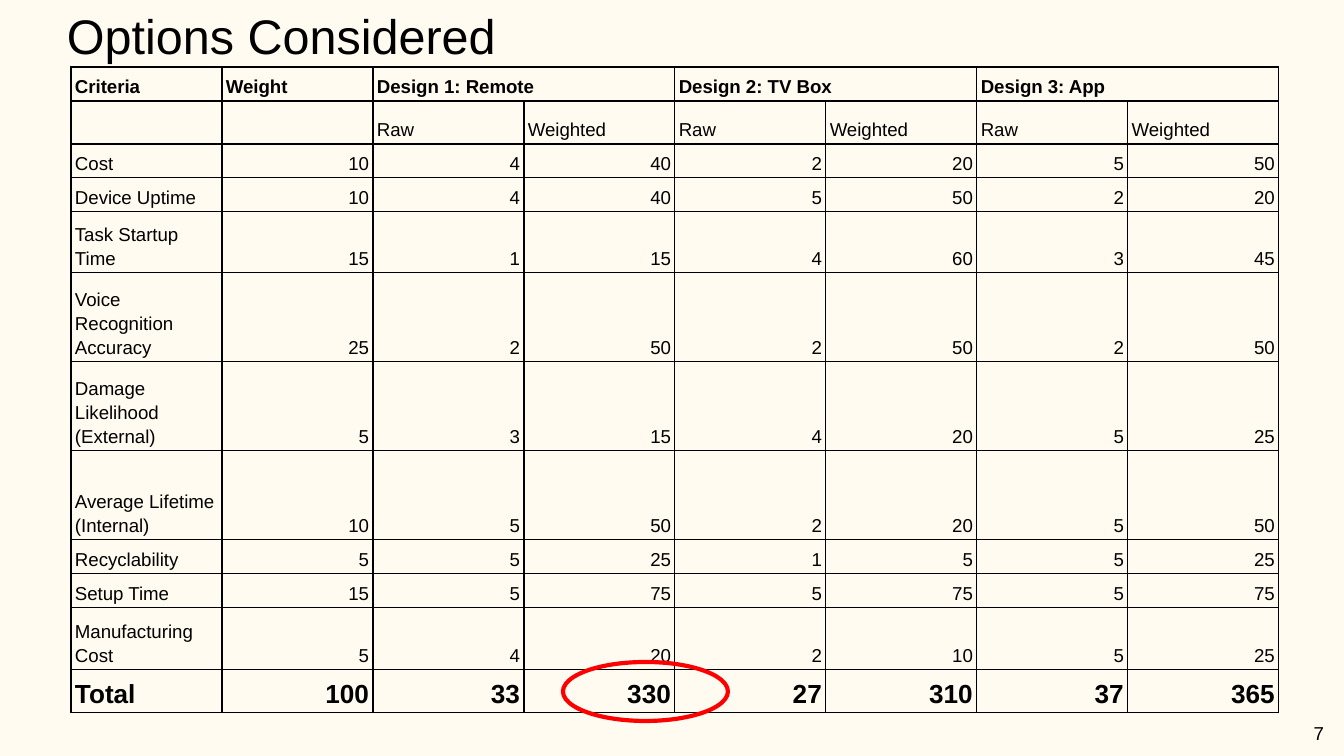
from lxml import etree
from pptx import Presentation, util as u
from pptx.dml.color import RGBColor
from pptx.enum import shapes, text
from pptx.oxml.ns import qn

PX = 914400 / 134.4
BLACK = "000000"
RIGHT = text.PP_ALIGN.RIGHT


def px(*vals):
    """Turn px lengths into EMU."""
    return [u.Emu(round(v * PX)) for v in vals]


def write(frame, words, size, bold=False, align=None):
    para = frame.paragraphs[0]
    para.alignment = align
    run = para.add_run()
    run.text = words
    look = {"name": "Arial", "size": u.Pt(size), "bold": bold}
    for key, val in look.items():
        setattr(run.font, key, val)
    run.font.color.rgb = RGBColor.from_string(BLACK)
    return para


deck = Presentation()
deck.slide_width, deck.slide_height = px(1344, 756)
slide = deck.slides.add_slide(deck.slide_layouts[6])
slide.background.fill.solid()
slide.background.fill.fore_color.rgb = RGBColor.from_string("FFFBF0")

# Score table
rows = [
    ["Criteria", "Weight", "Design 1: Remote", "", "Design 2: TV Box", "", "Design 3: App", ""],
    ["", ""] + ["Raw", "Weighted"] * 3,
    ["Cost", 10, 4, 40, 2, 20, 5, 50],
    ["Device Uptime", 10, 4, 40, 5, 50, 2, 20],
    ["Task Startup Time", 15, 1, 15, 4, 60, 3, 45],
    ["Voice Recognition Accuracy", 25, 2, 50, 2, 50, 2, 50],
    ["Damage Likelihood (External)", 5, 3, 15, 4, 20, 5, 25],
    ["Average Lifetime (Internal)", 10, 5, 50, 2, 20, 5, 50],
    ["Recyclability", 5, 5, 25, 1, 5, 5, 25],
    ["Setup Time", 15, 5, 75, 5, 75, 5, 75],
    ["Manufacturing Cost", 5, 4, 20, 2, 10, 5, 25],
    ["Total", 100, 33, 330, 27, 310, 37, 365],
]
highs = [34, 43, 34, 34, 61, 89, 89, 89, 34, 34, 62, 43]
wide = 151
last = len(rows) - 1

grid = slide.shapes.add_table(len(rows), 8, *px(71, 67, 8 * wide, sum(highs))).table
grid.first_row = grid.horz_banding = False
for col in grid.columns:
    col.width = px(wide)[0]
for row, high in zip(grid.rows, highs):
    row.height = px(high)[0]
for c in (2, 4, 6):
    grid.cell(0, c).merge(grid.cell(0, c + 1))

side, edge = px(4, 3)
form = {
    "margin_left": side, "margin_right": side,
    "margin_top": edge, "margin_bottom": edge,
    "vertical_anchor": text.MSO_ANCHOR.BOTTOM,
}
for r, row in enumerate(rows):
    for c, val in enumerate(row):
        cell = grid.cell(r, c)
        for key, item in form.items():
            setattr(cell, key, item)
        props = cell._tc.get_or_add_tcPr()
        for tag in ("a:lnL", "a:lnR", "a:lnT", "a:lnB"):
            line = etree.SubElement(props, qn(tag), w=str(u.Pt(0.75)))
            fill = etree.SubElement(line, qn("a:solidFill"))
            etree.SubElement(fill, qn("a:srgbClr"), val=BLACK)
        cell.fill.background()
        if val == "":
            para = cell.text_frame.paragraphs[0]
            etree.SubElement(para._p, qn("a:endParaRPr"), sz="1000")
            continue
        para = write(
            cell.text_frame, str(val), 14 if r == last else 10,
            bold=r in (0, last), align=RIGHT if isinstance(val, int) else None,
        )
        para.line_spacing = 1.15

# Title and page number
labels = [
    ("Options Considered", (54, -7, 530, 86), 26, None, text.MSO_ANCHOR.TOP),
    ("7", (1257, 704, 80, 58), 10, RIGHT, text.MSO_ANCHOR.MIDDLE),
]
for words, place, size, align, anchor in labels:
    frame = slide.shapes.add_textbox(*px(*place)).text_frame
    pad = px(13)[0]
    form = {
        "word_wrap": True, "vertical_anchor": anchor,
        "margin_left": pad, "margin_right": pad,
        "margin_top": pad, "margin_bottom": pad,
    }
    for key, item in form.items():
        setattr(frame, key, item)
    write(frame, words, size, align=align)

# Ring round the chosen total
ring = slide.shapes.add_shape(shapes.MSO_SHAPE.OVAL, *px(563, 662, 165, 59))
ring.shadow.inherit = False
ring.fill.background()
ring.line.color.rgb = RGBColor.from_string("FF0000")
ring.line.width = u.Pt(2.25)

deck.save("out.pptx")
